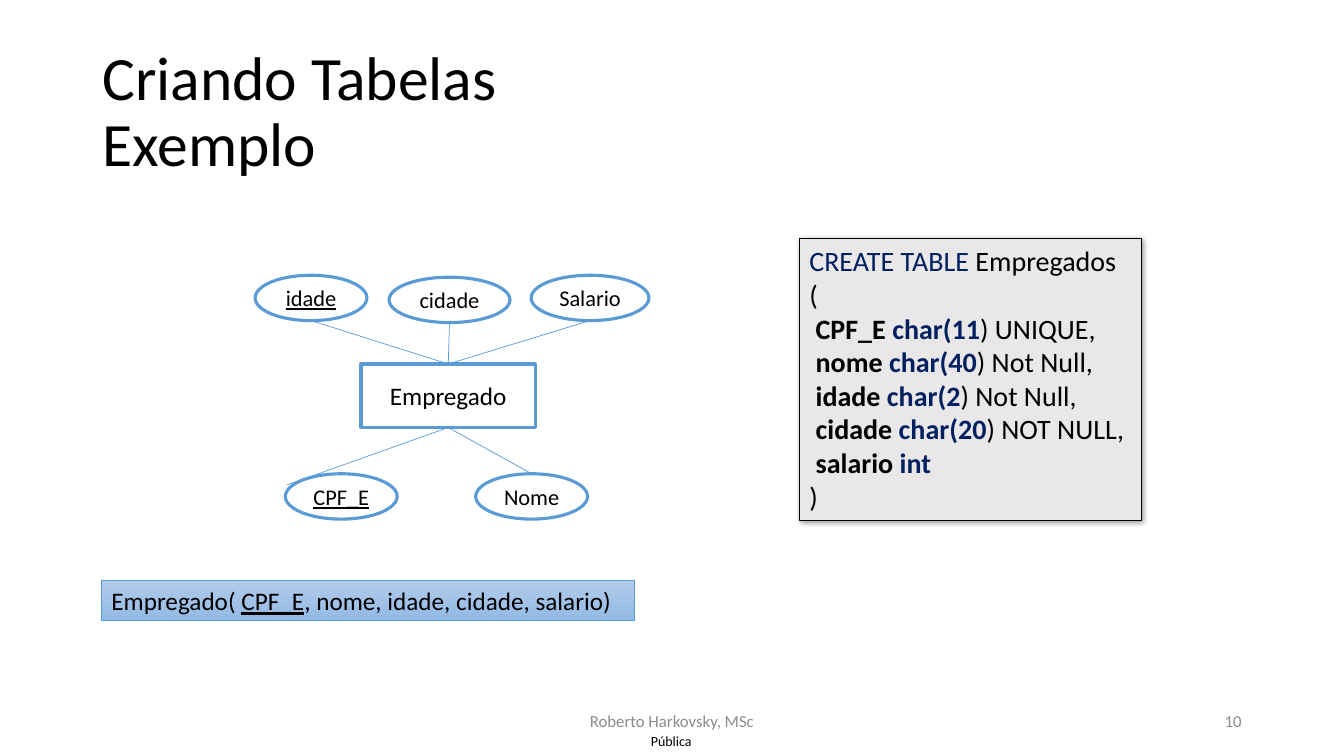
from lxml import etree
from pptx import Presentation
from pptx import util as u
from pptx.dml.color import RGBColor
from pptx.enum import shapes, text
from pptx.oxml.ns import qn

BLACK, NAVY, BLUE, GREY, WHITE = "000000", "002060", "5B9BD5", "8C8C8C", "FFFFFF"
LEFT, MID, RIGHT = text.PP_ALIGN.LEFT, text.PP_ALIGN.CENTER, text.PP_ALIGN.RIGHT

LABELS = [
    ("Pública", (454.3, 519.1, 50.4, 20.9), 10, BLACK, MID, 0),
    ("Criando Tabelas\vExemplo", (66, 28.75, 828, 104.4), 44, BLACK, LEFT, 7.2),
    ("Roberto Harkovsky, MSc", (318, 500.5, 324, 28.75), 12, GREY, MID, 7.2),
    ("10", (678, 500.5, 216, 28.75), 12, GREY, RIGHT, 7.2),
]
ENTITY = ("Empregado", (257.9, 260, 124.6, 45.4))
FIELDS = [
    ("CPF_E", (203.8, 338.4, 79.9, 32.4), True, (205.2, 346.3)),
    ("Nome", (339.8, 338.4, 79.9, 32.4), False, None),
    ("idade", (182.2, 196.6, 79.9, 32.4), True, None),
    ("cidade", (277.9, 198, 86.4, 32.4), False, None),
    ("Salario", (379.4, 196.6, 84.2, 32.4), False, None),
]
SCHEMA_BOX = (72.5, 414.7, 380.9, 28.8)
SCHEMA = [[("Empregado( ", BLACK, False, False), ("CPF_E", BLACK, False, True),
           (", nome, idade, cidade, salario)", BLACK, False, False)]]
SQL_BOX = (571, 170.6, 244.1, 200.9)
COLUMNS = [
    ("CPF_E", "char(11", ") UNIQUE,"),
    ("nome", "char(40", ") Not Null,"),
    ("idade", "char(2", ") Not Null,"),
    ("cidade", "char(20", ") NOT NULL,"),
    ("salario", "int", ""),
]


def tint(code):
    return RGBColor.from_string(code)


def plain(words, color=BLACK, line=False):
    return [(words, color, False, line)]


def write(shape, rows, size, align=LEFT, wrap=True, inset=7.2, middle=True):
    frame = shape.text_frame
    frame.word_wrap = wrap
    frame.vertical_anchor = text.MSO_ANCHOR.MIDDLE if middle else text.MSO_ANCHOR.TOP
    frame.margin_left = frame.margin_right = u.Pt(inset)
    frame.margin_top = frame.margin_bottom = u.Pt(inset / 2)
    for i, row in enumerate(rows):
        para = frame.add_paragraph() if i else frame.paragraphs[0]
        para.alignment = align
        for j, (words, color, bold, line) in enumerate(row):
            for k, part in enumerate(words.split("\v")):
                if k:
                    para.add_line_break()
                run = para.add_run()
                run.text = part
                run.font.color.rgb = tint(color)
                if bold:
                    run.font.bold = True
                if line:
                    run.font.underline = True
        para.font.size = u.Pt(size)
        para.font.name = "Calibri"
    return frame


def draw(kind, box, fill, line, width):
    shape = slide.shapes.add_shape(kind, *map(u.Pt, box))
    shape.shadow.inherit = False
    if fill:
        shape.fill.solid()
        shape.fill.fore_color.rgb = tint(fill)
    shape.line.color.rgb = tint(line)
    shape.line.width = u.Pt(width)
    return shape


def link(start, end):
    line = slide.shapes.add_connector(shapes.MSO_CONNECTOR.STRAIGHT, *map(u.Pt, start + end))
    line.line.color.rgb = tint(BLUE)
    line.line.width = u.Pt(0.5)
    etree.SubElement(line._element.spPr, qn("a:effectLst"))


def shade(shape):
    effects = shape._element.spPr.find(qn("a:effectLst"))
    outer = etree.SubElement(effects, qn("a:outerShdw"), blurRad=str(u.Pt(4)),
                             dist=str(u.Pt(1)), dir="2700000", algn="tl", rotWithShape="0")
    color = etree.SubElement(outer, qn("a:srgbClr"), val=BLACK)
    etree.SubElement(color, qn("a:alpha"), val="40000")


deck = Presentation()
deck.slide_width, deck.slide_height = u.Pt(960), u.Pt(540)
slide = deck.slides.add_slide(deck.slide_layouts[6])
RECT, OVAL = shapes.MSO_SHAPE.RECTANGLE, shapes.MSO_SHAPE.OVAL

for words, box, size, color, align, inset in LABELS:
    label = slide.shapes.add_textbox(*map(u.Pt, box))
    frame = write(label, [plain(words, color)], size, align, inset=inset)
    if size == 44:
        frame.paragraphs[0].line_spacing = 0.9

name, box = ENTITY
write(draw(RECT, box, WHITE, BLUE, 2.25), [plain(name)], 18, MID)
x, y, w, h = box
hub, top, base = x + w / 2, y, y + h

for name, box, key, end in FIELDS:
    x, y, w, h = box
    if y > base:
        link((hub, base), end or (x + w / 2, y))
    else:
        link((hub, top), (x + w / 2, y + h))
    write(draw(OVAL, box, WHITE, BLUE, 2.25), [plain(name, line=key)], 16, MID, wrap=False)

bar = draw(RECT, SCHEMA_BOX, None, BLUE, 0.5)
bar.fill.gradient()
bar.fill.gradient_angle = 270
for stop, code, spot in zip(bar.fill.gradient_stops, ("B1CBE9", "93B9E4"), (0, 1)):
    stop.color.rgb = tint(code)
    stop.position = spot
write(bar, SCHEMA, 18, wrap=False, middle=False)

rows = [plain("CREATE TABLE ", NAVY) + plain("Empregados"), plain("(")]
for name, kind, rest in COLUMNS:
    row = [(f" {name} ", BLACK, True, False), (kind, NAVY, True, False)]
    rows.append(row + plain(rest) if rest else row)
rows.append(plain(")"))
panel = draw(RECT, SQL_BOX, "E9E7E7", BLACK, 0.75)
shade(panel)
write(panel, rows, 20, middle=False)

deck.save("out.pptx")
